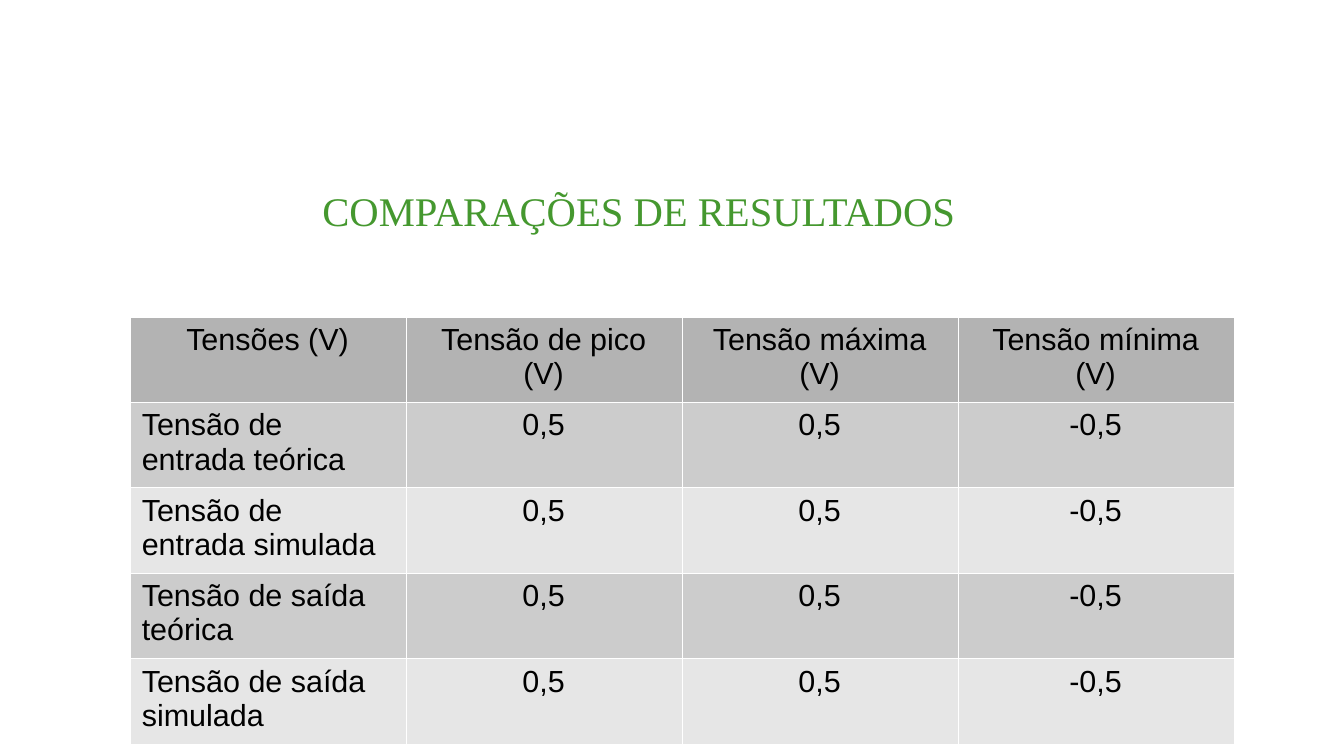
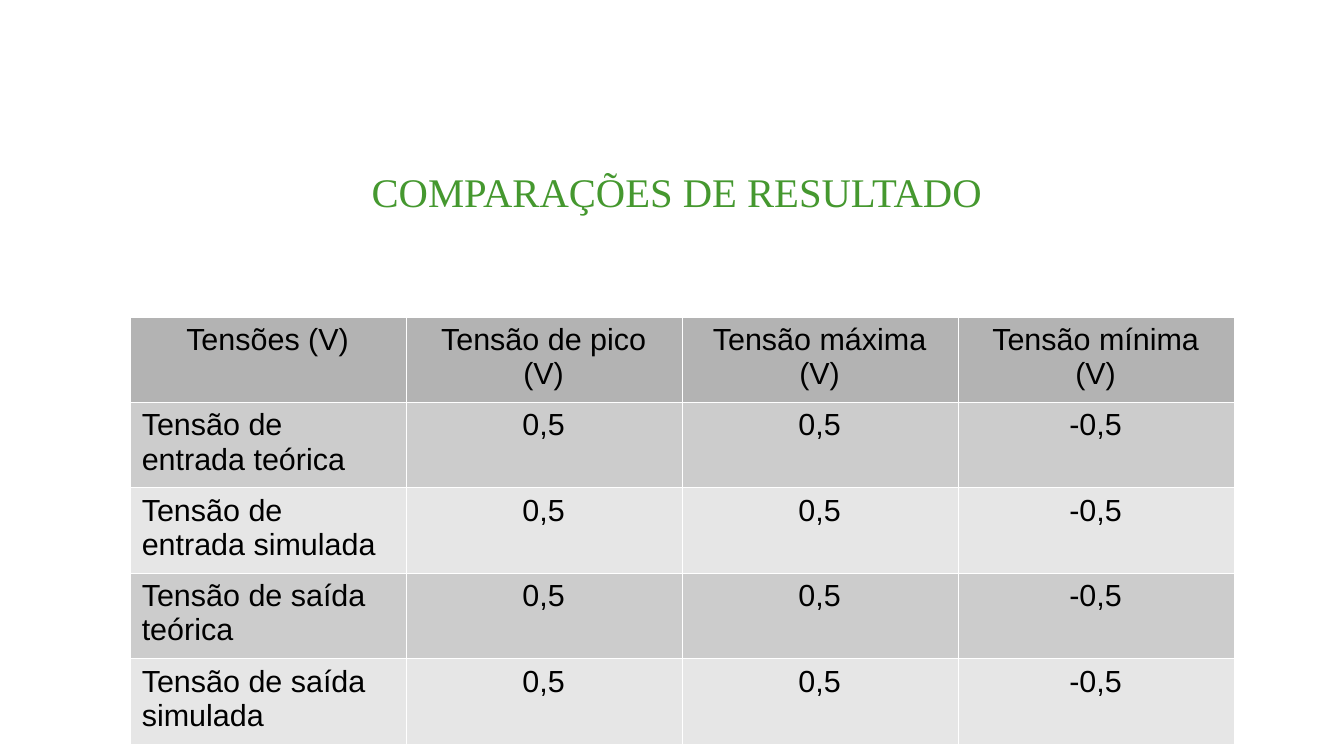
from lxml import etree
from pptx import Presentation
from pptx import util as u
from pptx.dml.color import RGBColor
from pptx.enum import text
from pptx.oxml import ns

# Shared style
WHITE = RGBColor(0xFF, 0xFF, 0xFF)
BLACK = RGBColor(0x00, 0x00, 0x00)
GREEN = RGBColor(0x45, 0x98, 0x2F)
HEADER_GREY = RGBColor(0xB3, 0xB3, 0xB3)
BAND_GREYS = (RGBColor(0xCC, 0xCC, 0xCC), RGBColor(0xE6, 0xE6, 0xE6))
LEFT, CENTER = text.PP_ALIGN.LEFT, text.PP_ALIGN.CENTER

# Content of the comparison table
HEADERS = ["Tensões (V)", "Tensão de pico (V)", "Tensão máxima (V)", "Tensão mínima (V)"]
VOLTAGES = ["0,5", "0,5", "-0,5"]
SIGNALS = [
    "Tensão de entrada teórica",
    "Tensão de entrada simulada",
    "Tensão de saída teórica",
    "Tensão de saída simulada",
]


def write(frame, words, font="Arial", size=18, color=BLACK, align=CENTER):
    para = frame.paragraphs[0]
    para.alignment = align
    span = para.add_run()
    span.text = words
    span.font.name = font
    span.font.size = u.Pt(size)
    span.font.color.rgb = color


class Slides:
    """Holds the deck's style and the page being filled."""

    column_width = u.Cm(5.75)
    row_height = u.Cm(1.52)
    border_width = u.Pt(0.06)

    def __init__(self):
        self.deck = Presentation()
        self.deck.slide_width = u.Cm(28)
        self.deck.slide_height = u.Cm(15.75)
        self.page = None

    def add_page(self):
        self.page = self.deck.slides.add_slide(self.deck.slide_layouts[6])
        self.page.background.fill.solid()
        self.page.background.fill.fore_color.rgb = WHITE

    def title(self, words, left, top):
        box = self.page.shapes.add_textbox(u.Cm(left), u.Cm(top), u.Cm(22.2), u.Cm(2.62))
        frame = box.text_frame
        frame.word_wrap = True
        frame.vertical_anchor = text.MSO_ANCHOR.MIDDLE
        frame.margin_left = frame.margin_right = 0
        frame.margin_top = frame.margin_bottom = 0
        write(frame, words, font="Times New Roman", size=24, color=GREEN)

    def table(self, rows, left, top):
        count = len(rows[0])
        table = self.page.shapes.add_table(
            len(rows), count, u.Cm(left), u.Cm(top),
            self.column_width * count, self.row_height * len(rows)).table
        table.first_row = table.horz_banding = False
        for i, row in enumerate(rows):
            fill = BAND_GREYS[(i - 1) % 2] if i else HEADER_GREY
            for j, words in enumerate(row):
                cell = table.cell(i, j)
                cell.fill.solid()
                cell.fill.fore_color.rgb = fill
                self.borders(cell)
                write(cell.text_frame, words, align=LEFT if i and j == 0 else CENTER)

    def borders(self, cell):
        properties = cell._tc.get_or_add_tcPr()
        for position, side in enumerate(("lnL", "lnR", "lnT", "lnB")):
            line = etree.Element(ns.qn("a:" + side), w=str(self.border_width))
            paint = etree.SubElement(line, ns.qn("a:solidFill"))
            etree.SubElement(paint, ns.qn("a:srgbClr"), val=str(WHITE))
            properties.insert(position, line)


# Both pages: a title above the same table
slides = Slides()
comparison = [HEADERS] + [[signal] + VOLTAGES for signal in SIGNALS]
for heading, left, top in (
    ("COMPARAÇÕES DE RESULTADOS", 2.21, 3.07),
    ("COMPARAÇÕES DE RESULTADO", 3, 2.67),
):
    slides.add_page()
    slides.title(heading, left, top)
    slides.table(comparison, 2.7, 6.6)

slides.deck.save("out.pptx")
